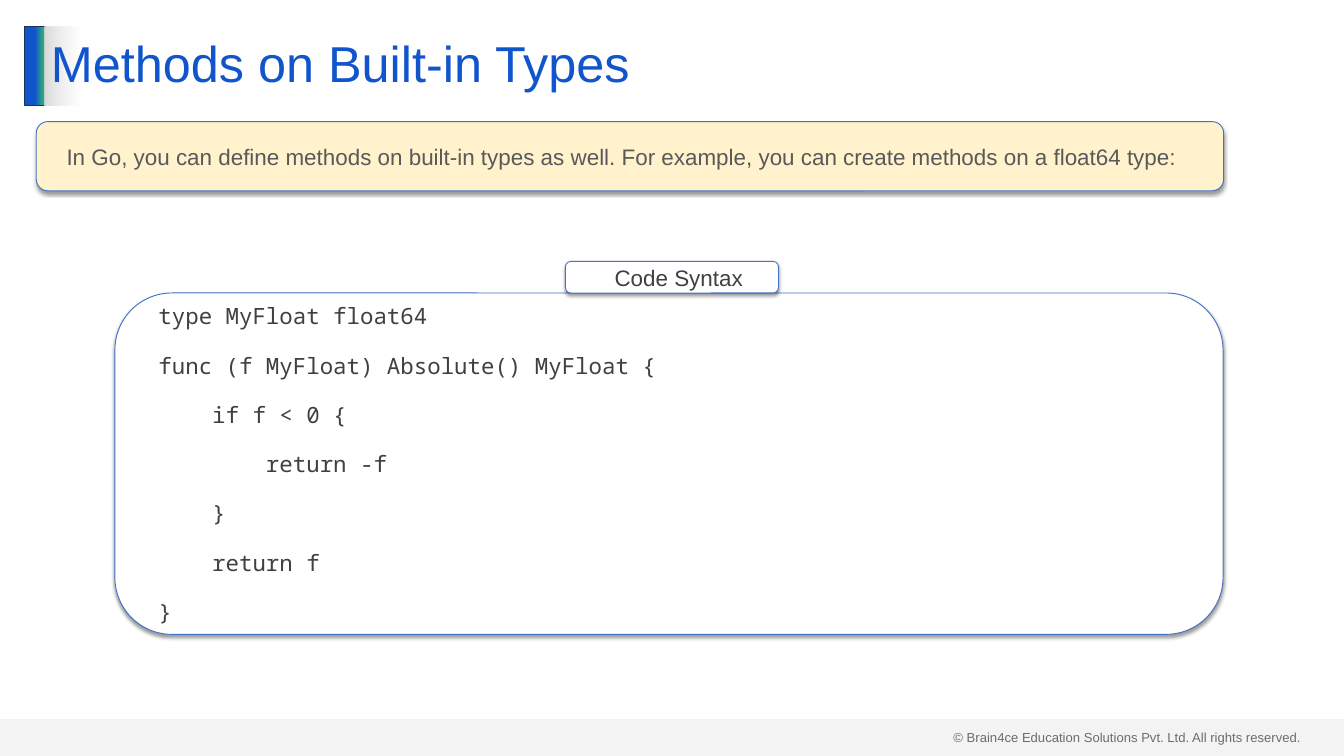
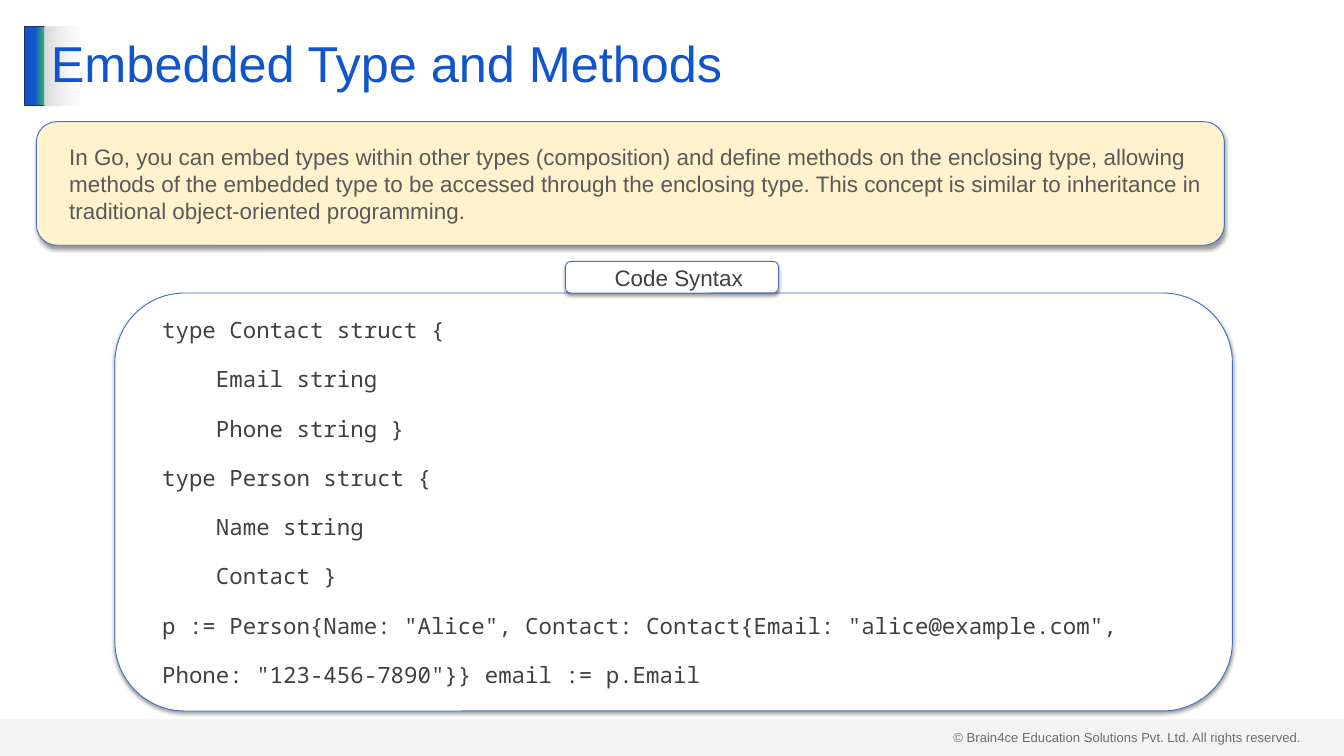
from lxml.etree import SubElement
from pptx import Presentation
from pptx.dml.color import RGBColor
from pptx.enum.shapes import MSO_SHAPE
from pptx.enum.text import MSO_ANCHOR, PP_ALIGN
from pptx.oxml.ns import qn
from pptx.util import Emu, Inches, Pt

W, H = 20, 11.25
C = {"blue": "1155CC", "green": "2EA87D", "navy": "1E3256", "line": "4472C4",
     "cream": "FFF2CC", "white": "FFFFFF", "grey": "D9D9D9", "text": "404040",
     "soft": "595959", "black": "000000"}
SANS, MONO = "Arial", "Noto Sans Mono"
FOOTER = "© Brain4ce Education Solutions Pvt. Ltd. All rights reserved."
LABEL = "Code Syntax"

SLIDES = [
    {"title": "Methods on Built-in Types",
     "intro": "In Go, you can define methods on built-in types as well. "
              "For example, you can create methods on a float64 type:",
     "intro_size": (17.67, 1.03),
     "code_size": (16.49, 5.08),
     "code": """type MyFloat float64
func (f MyFloat) Absolute() MyFloat {
    if f < 0 {
        return -f
    }
    return f
}"""},
    {"title": "Embedded Type and Methods",
     "intro": "In Go, you can embed types within other types (composition) and define "
              "methods on the enclosing type, allowing methods of the embedded type to be "
              "accessed through the enclosing type. This concept is similar to inheritance "
              "in traditional object-oriented programming.",
     "intro_size": (17.68, 1.84),
     "code_size": (16.63, 6.22),
     "code": """type Contact struct {
    Email string
    Phone string }
type Person struct {
    Name string
    Contact }
p := Person{Name: "Alice", Contact: Contact{Email: "alice@example.com",
Phone: "123-456-7890"}} email := p.Email"""},
]

HEAD_TOP, HEAD_H = 0.39, 1.18
BAR_X, BAR_W = 0.37, 0.3
TITLE_X, TITLE_W = 0.66, 18.67
INTRO_X, INTRO_Y = 0.54, 1.81
CODE_X, CODE_Y = 1.71, 4.36
LABEL_W, LABEL_H = 3.17, 0.47
BAND_H = 0.55


def rgb(name):
    return RGBColor.from_string(C[name])


def add_color(parent, name, alpha=100):
    clr = SubElement(parent, qn("a:srgbClr"), val=C[name])
    if alpha < 100:
        SubElement(clr, qn("a:alpha"), val=str(alpha * 1000))


def add_box(s, kind, at, fill=None, line=None):
    sp = s.shapes.add_shape(kind, *map(Inches, at))
    sp.shadow.inherit = False
    if fill:
        sp.fill.solid()
        sp.fill.fore_color.rgb = rgb(fill)
    if line:
        sp.line.color.rgb = rgb(line)
        sp.line.width = Pt(1)
    else:
        sp.line.fill.background()
    return sp


def set_gradient(sp, stops):
    sp.fill.gradient()
    sp.fill.gradient_angle = 0
    gs_list = sp._element.spPr.find(qn("a:gradFill")).find(qn("a:gsLst"))
    for gs in list(gs_list):
        gs_list.remove(gs)
    for pos, name, alpha in stops:
        add_color(SubElement(gs_list, qn("a:gs"), pos=str(pos * 1000)), name, alpha)


def add_shadow(sp):
    effects = sp._element.spPr.find(qn("a:effectLst"))
    outer = SubElement(effects, qn("a:outerShdw"), blurRad=str(Pt(4)), dist=str(Pt(3)),
                       dir=str(90 * 60000), algn="t", rotWithShape="0")
    add_color(outer, "black", 40)


def write(sp, lines, size, color, font=SANS, align=PP_ALIGN.LEFT, indent=0, spacing=None):
    tf = sp.text_frame
    tf.word_wrap = True
    tf.vertical_anchor = MSO_ANCHOR.MIDDLE
    for i, line in enumerate(lines):
        p = tf.paragraphs[0] if i == 0 else tf.add_paragraph()
        p.alignment = align
        p.line_spacing = spacing
        if i:
            p.space_before = Pt(24)
        if indent:
            p._p.get_or_add_pPr().set("marL", str(Inches(indent)))
        r = p.add_run()
        r.text = line
        for key, value in {"size": Pt(size), "name": font}.items():
            setattr(r.font, key, value)
        r.font.color.rgb = rgb(color)


def add_panel(s, at, fill, lines, color, **text):
    sp = add_box(s, MSO_SHAPE.ROUNDED_RECTANGLE, at, fill, "line")
    add_shadow(sp)
    for side, inset in {"left": 0.2, "right": 0.2, "top": 0.1, "bottom": 0.1}.items():
        setattr(sp.text_frame, "margin_" + side, Inches(inset))
    write(sp, lines, 24, color, indent=0.2, **text)


def add_frame(s, title):
    footer = s.shapes.add_textbox(*map(Inches, (14.09, 10.8, 5.41, 0.34)))
    write(footer, [FOOTER], 14, "text")
    bar = add_box(s, MSO_SHAPE.RECTANGLE, (BAR_X, HEAD_TOP, BAR_W, HEAD_H), line="navy")
    set_gradient(bar, [(51, "blue", 100), (90, "green", 100), (100, "green", 100)])
    band = add_box(s, MSO_SHAPE.RECTANGLE, (0, H - BAND_H, W, BAND_H), "grey")
    clr = band._element.spPr.find(qn("a:solidFill"))[0]
    SubElement(clr, qn("a:alpha"), val="29000")
    head = add_box(s, MSO_SHAPE.RECTANGLE, (TITLE_X, HEAD_TOP, TITLE_W, HEAD_H))
    set_gradient(head, [(0, "grey", 100), (0, "grey", 100), (3, "white", 50)])
    write(head, [title], 54, "blue", spacing=0.9)


def main():
    prs = Presentation()
    prs.slide_width, prs.slide_height = Inches(W), Inches(H)
    for data in SLIDES:
        s = prs.slides.add_slide(prs.slide_layouts[6])
        add_frame(s, data["title"])
        add_panel(s, (CODE_X, CODE_Y, *data["code_size"]), "white",
                  data["code"].splitlines(), "text", font=MONO)
        add_panel(s, ((W - LABEL_W) / 2, CODE_Y - LABEL_H, LABEL_W, LABEL_H), "white",
                  [LABEL], "text", align=PP_ALIGN.CENTER)
        add_panel(s, (INTRO_X, INTRO_Y, *data["intro_size"]), "cream",
                  [data["intro"]], "soft")
    prs.save("out.pptx")


if __name__ == "__main__":
    main()
